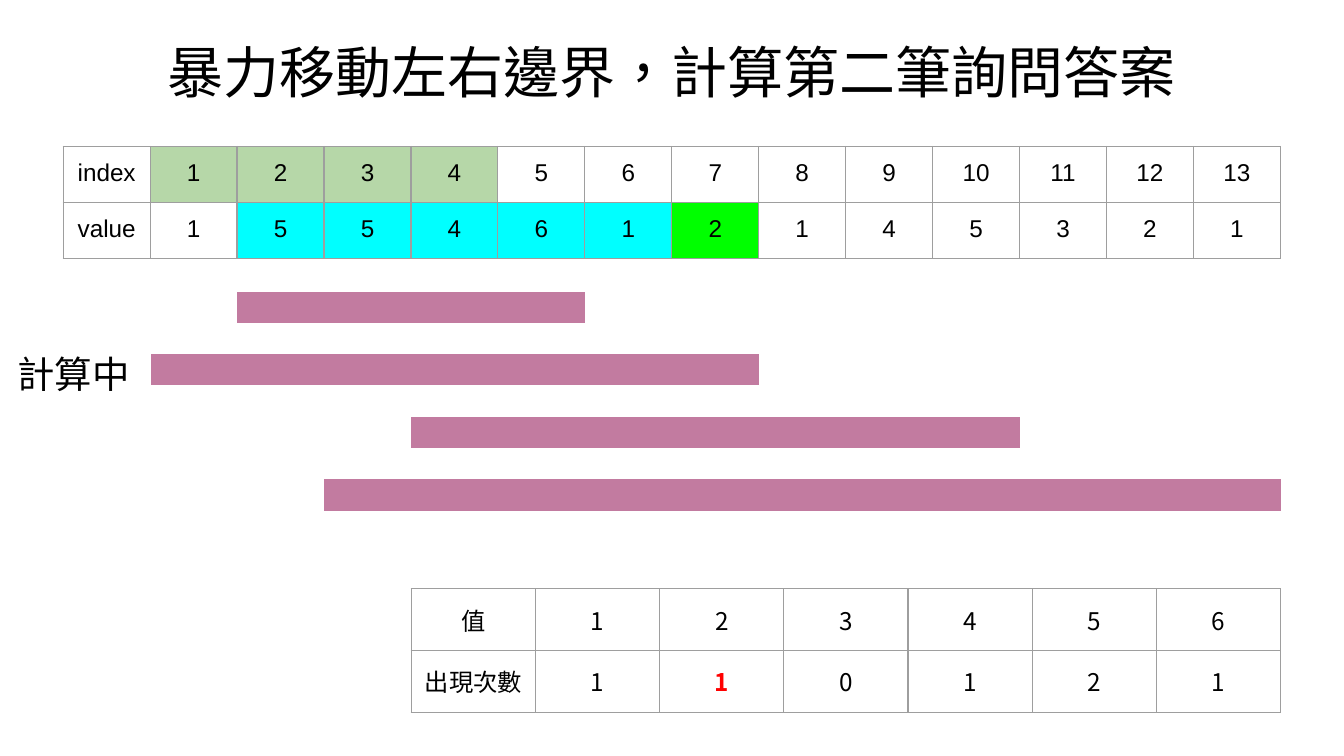
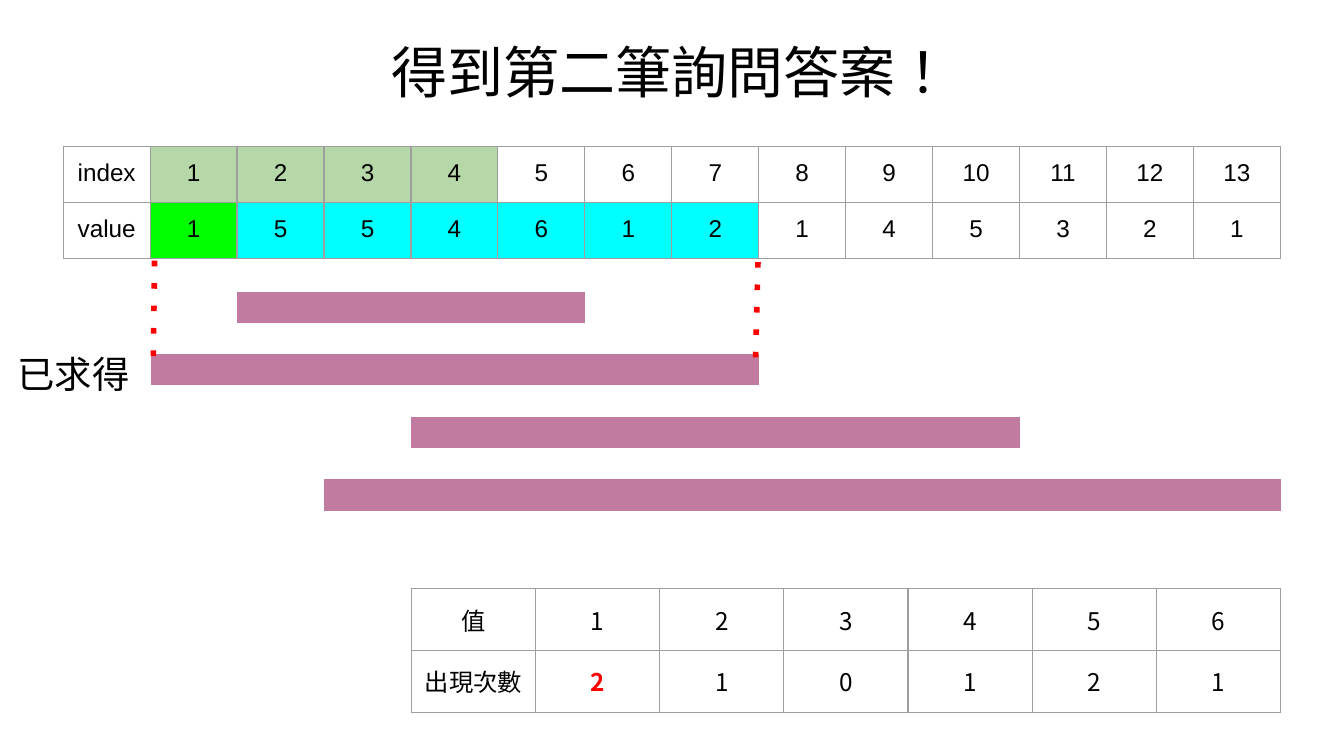
"""Build two slides that walk through answering range queries by moving borders."""
from lxml import etree
from pptx import Presentation
from pptx.dml.color import RGBColor
from pptx.enum.shapes import MSO_CONNECTOR
from pptx.enum.text import PP_ALIGN
from pptx.oxml.ns import qn
from pptx.util import Inches, Pt

CENTER, LEFT = PP_ALIGN.CENTER, PP_ALIGN.LEFT
STRAIGHT = MSO_CONNECTOR.STRAIGHT
COLORS = {
    "text": "000000",
    "grid": "9E9E9E",
    "block": "B6D7A8",
    "window": "00FFFF",
    "added": "00FF00",
    "range": "C27BA0",
    "accent": "FF0000",
}
LATIN, CJK = "Arial", "Noto Sans CJK TC"
PLAIN_STYLE = "{2D5ABB26-0587-4C30-8999-92F81FD0307C}"
VALUES = [1, 5, 5, 4, 6, 1, 2, 1, 4, 5, 3, 2, 1]
QUERIES = [(2, 5), (1, 7), (4, 10), (3, 13)]
BLOCK_SIZE = 4


def rgb(name):
    return RGBColor.from_string(COLORS[name])


class Deck:
    """Holds the presentation style and the current slide."""

    def __init__(self):
        self.deck = Presentation()
        self.deck.slide_width = Inches(10)
        self.deck.slide_height = Inches(10 * 9 / 16)
        self.page = None

    def add_page(self, title):
        self.page = self.deck.slides.add_slide(self.deck.slide_layouts[6])
        self.text(title, (0, 0.18, 10, 0.67), 30, CENTER)

    def span(self, para, content, size, font, color="text", bold=False):
        span = para.add_run()
        span.text = str(content)
        span.font.size = Pt(size)
        span.font.name = font
        span.font.bold = bold
        span.font.color.rgb = rgb(color)
        span.font._element.set("lang", "zh-TW")
        etree.SubElement(span.font._element, qn("a:ea"), typeface=font)

    def text(self, content, place, size, align=LEFT):
        box = self.page.shapes.add_textbox(*map(Inches, place))
        frame = box.text_frame
        frame.word_wrap = True
        frame.margin_left = frame.margin_right = Inches(0.1)
        frame.margin_top = frame.margin_bottom = Inches(0.1)
        para = frame.paragraphs[0]
        para.alignment = align
        self.span(para, content, size, CJK)

    def border(self, cell):
        properties = cell._tc.get_or_add_tcPr()
        for side in ("lnL", "lnR", "lnT", "lnB"):
            line = etree.SubElement(properties, qn(f"a:{side}"), w=str(Pt(0.75)))
            fill = etree.SubElement(line, qn("a:solidFill"))
            etree.SubElement(fill, qn("a:srgbClr"), val=COLORS["grid"])

    def fill(self, cell, color):
        if color:
            cell.fill.solid()
            cell.fill.fore_color.rgb = rgb(color)
        else:
            cell.fill.background()

    def table(self, place, row_count, column_count):
        width, height = place[2:]
        shape = self.page.shapes.add_table(row_count, column_count, *map(Inches, place))
        table = shape.table
        table.first_row = table.horz_banding = False
        table._tbl.tblPr.find(qn("a:tableStyleId")).text = PLAIN_STYLE
        for column in table.columns:
            column.width = Inches(width / column_count)
        for row in table.rows:
            row.height = Inches(height / row_count)
        return table

    def grid(self, place, rows, font, fills=None, marked=None):
        fills = fills or {}
        table = self.table(place, len(rows), len(rows[0]))
        for r, row in enumerate(rows):
            for c, content in enumerate(row):
                cell = table.cell(r, c)
                cell.margin_left = cell.margin_right = Inches(0.1)
                cell.margin_top = cell.margin_bottom = Inches(0.1)
                self.border(cell)
                self.fill(cell, fills.get((r, c)))
                para = cell.text_frame.paragraphs[0]
                para.alignment = CENTER
                hit = (r, c) == marked
                self.span(para, content, 13, font, "accent" if hit else "text", hit)

    def array(self, window, added):
        fills = {(0, i): "block" for i in range(1, BLOCK_SIZE + 1)}
        fills.update({(1, i): "window" for i in range(window[0], window[1] + 1)})
        fills[1, added] = "added"
        rows = [["index", *range(1, len(VALUES) + 1)], ["value", *VALUES]]
        self.grid((0.47, 1.09, 9.06, 0.83), rows, LATIN, fills)

    def ranges(self):
        row_count = 2 * len(QUERIES) - 1
        table = self.table((1.12, 2.17, 8.41, 1.63), row_count, len(VALUES))
        for r in range(row_count):
            first, last = QUERIES[r // 2]
            for c in range(len(VALUES)):
                cell = table.cell(r, c)
                cell.margin_top = cell.margin_bottom = 0
                para = cell.text_frame.paragraphs[0]
                etree.SubElement(para._p, qn("a:endParaRPr"), sz="600")
                covered = r % 2 == 0 and first <= c + 1 <= last
                self.fill(cell, "range" if covered else None)

    def counts(self, counts, changed):
        rows = [["值", *range(1, len(counts) + 1)], ["出現次數", *counts]]
        self.grid((3.06, 4.38, 6.47, 0.92), rows, CJK, marked=(1, changed))

    def dotted_line(self, *ends):
        line = self.page.shapes.add_connector(STRAIGHT, *map(Inches, ends))
        line.line.color.rgb = rgb("accent")
        line.line.width = Pt(3)
        properties = line._element.spPr
        etree.SubElement(properties.find(qn("a:ln")), qn("a:prstDash"), val="dot")
        etree.SubElement(properties, qn("a:effectLst"))

    def step(self, title, status, window, added, counts, changed):
        self.add_page(title)
        self.array(window, added)
        self.ranges()
        self.text(status, (0.03, 2.51, 1.09, 0.51), 20)
        self.counts(counts, changed)


def main():
    deck = Deck()
    deck.step("暴力移動左右邊界，計算第二筆詢問答案", "計算中",
              (2, 7), 7, [1, 1, 0, 1, 2, 1], 2)
    deck.step("得到第二筆詢問答案！", "已求得",
              (1, 7), 1, [2, 1, 0, 1, 2, 1], 1)
    deck.dotted_line(5.64, 1.95, 5.62, 2.74)
    deck.dotted_line(1.15, 1.94, 1.14, 2.73)
    deck.deck.save("out.pptx")


if __name__ == "__main__":
    main()
